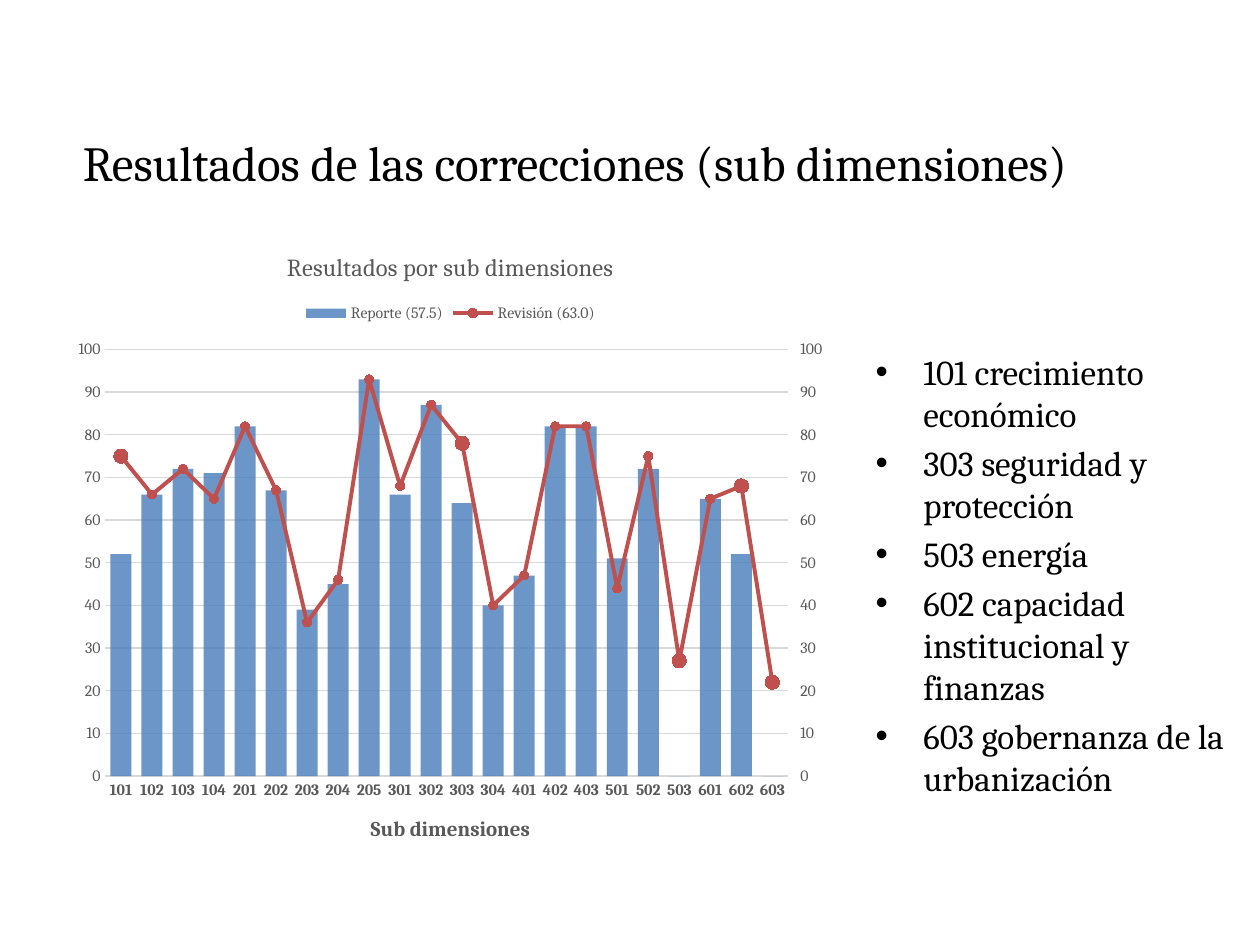
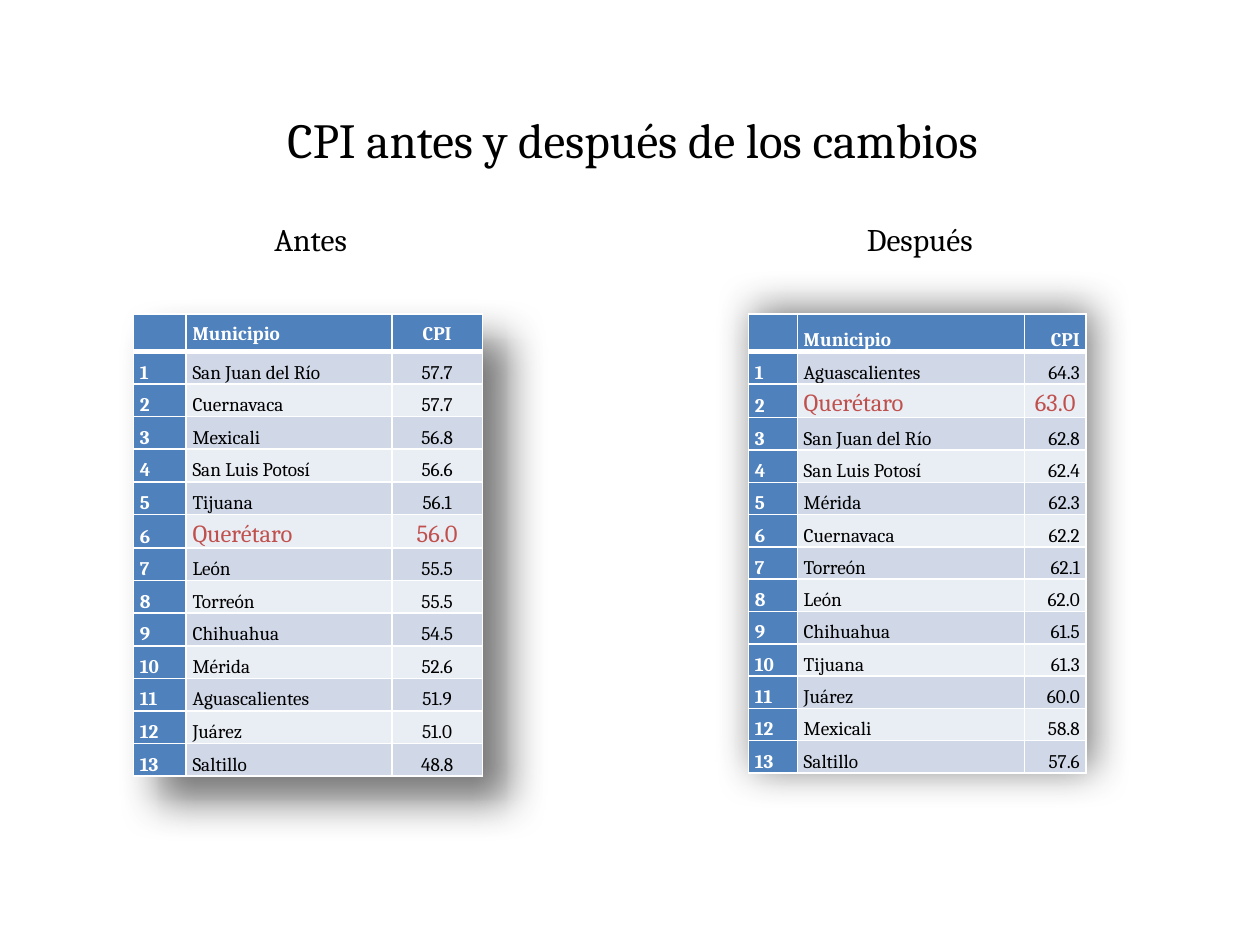
from lxml import etree
from pptx import Presentation
from pptx.chart.data import CategoryChartData
from pptx.dml.color import RGBColor
from pptx.enum.chart import XL_CHART_TYPE, XL_LEGEND_POSITION, XL_MARKER_STYLE, XL_TICK_MARK
from pptx.enum.text import MSO_ANCHOR, PP_ALIGN
from pptx.oxml import parse_xml
from pptx.oxml.ns import nsdecls, qn
from pptx.util import Inches, Pt

COLUMNS = XL_CHART_TYPE.COLUMN_CLUSTERED
LEGEND_TOP = XL_LEGEND_POSITION.TOP
CIRCLE = XL_MARKER_STYLE.CIRCLE
NO_TICK = XL_TICK_MARK.NONE
LEFT, CENTER, RIGHT = PP_ALIGN.LEFT, PP_ALIGN.CENTER, PP_ALIGN.RIGHT
TOP, MIDDLE, BOTTOM = MSO_ANCHOR.TOP, MSO_ANCHOR.MIDDLE, MSO_ANCHOR.BOTTOM

BLACK = RGBColor(0x00, 0x00, 0x00)
WHITE = RGBColor(0xFF, 0xFF, 0xFF)
BLUE = RGBColor(0x4F, 0x81, 0xBD)
RED = RGBColor(0xC0, 0x50, 0x4D)
GRAY = RGBColor(0x59, 0x59, 0x59)
GRID = RGBColor(0xD9, 0xD9, 0xD9)
BANDS = RGBColor(0xD0, 0xD8, 0xE8), RGBColor(0xE9, 0xED, 0xF4)

FONT = "Cambria"
WIDTH, HEIGHT = Inches(10), Inches(7.5)

SUB_DIMENSIONS = [
    "101", "102", "103", "104", "201", "202", "203", "204", "205", "301", "302",
    "303", "304", "401", "402", "403", "501", "502", "503", "601", "602", "603"]
REPORT = [52, 66, 72, 71, 82, 67, 39, 45, 93, 66, 87,
          64, 40, 47, 82, 82, 51, 72, 0, 65, 52, 0]
REVISION = [75, 66, 72, 65, 82, 67, 36, 46, 93, 68, 87,
            78, 40, 47, 82, 82, 44, 75, 27, 65, 68, 22]
CHANGES = ["101 crecimiento económico", "303 seguridad y protección", "503 energía",
           "602 capacidad institucional y finanzas", "603 gobernanza de la urbanización"]
CHANGED = ["101", "303", "503", "602", "603"]

HIGHLIGHT = "Querétaro"
BEFORE = [
    ("San Juan del Río", "57.7"), ("Cuernavaca", "57.7"), ("Mexicali", "56.8"),
    ("San Luis Potosí", "56.6"), ("Tijuana", "56.1"), ("Querétaro", "56.0"),
    ("León", "55.5"), ("Torreón", "55.5"), ("Chihuahua", "54.5"), ("Mérida", "52.6"),
    ("Aguascalientes", "51.9"), ("Juárez", "51.0"), ("Saltillo", "48.8")]
AFTER = [
    ("Aguascalientes", "64.3"), ("Querétaro", "63.0"), ("San Juan del Río", "62.8"),
    ("San Luis Potosí", "62.4"), ("Mérida", "62.3"), ("Cuernavaca", "62.2"),
    ("Torreón", "62.1"), ("León", "62.0"), ("Chihuahua", "61.5"), ("Tijuana", "61.3"),
    ("Juárez", "60.0"), ("Mexicali", "58.8"), ("Saltillo", "57.6")]

LINE_CHART = f"""<c:lineChart {nsdecls('c')}><c:grouping val="stacked"/><c:varyColors val="0"/>
  <c:marker val="1"/><c:axId val="501"/><c:axId val="502"/></c:lineChart>"""
HIDDEN_AXIS = f"""<c:catAx {nsdecls('c')}><c:axId val="501"/>
  <c:scaling><c:orientation val="minMax"/></c:scaling><c:delete val="1"/><c:axPos val="b"/>
  <c:crossAx val="502"/><c:crosses val="autoZero"/></c:catAx>"""
RIGHT_AXIS = f"""<c:valAx {nsdecls('c', 'a')}><c:axId val="502"/>
  <c:scaling><c:orientation val="minMax"/><c:max val="100"/><c:min val="0"/></c:scaling>
  <c:delete val="0"/><c:axPos val="r"/><c:numFmt formatCode="0" sourceLinked="0"/>
  <c:majorTickMark val="out"/><c:minorTickMark val="none"/><c:tickLblPos val="nextTo"/>
  <c:spPr><a:ln><a:noFill/></a:ln></c:spPr>
  <c:txPr><a:bodyPr/><a:p><a:pPr><a:defRPr sz="900" b="0">
    <a:solidFill><a:srgbClr val="{GRAY}"/></a:solidFill><a:latin typeface="{FONT}"/>
  </a:defRPr></a:pPr><a:endParaRPr/></a:p></c:txPr>
  <c:crossAx val="501"/><c:crosses val="max"/><c:majorUnit val="10"/></c:valAx>"""


def box(left, top, width, height):
    """Turn percentages of the slide into left, top, width and height."""
    return [int(size * share / 100) for size, share in
            zip((WIDTH, HEIGHT, WIDTH, HEIGHT), (left, top, width, height))]


def set_font(font, size, color=BLACK, bold=False):
    for name, value in dict(name=FONT, size=Pt(size), bold=bold).items():
        setattr(font, name, value)
    font.color.rgb = color


def write(p, text, size, color=BLACK, bold=False, align=LEFT):
    p.alignment = align
    r = p.add_run()
    r.text = text
    set_font(r.font, size, color, bold)


def add_text(s, area, lines, size, align=LEFT, anchor=TOP):
    tf = s.shapes.add_textbox(*area).text_frame
    tf.word_wrap = True
    tf.vertical_anchor = anchor
    for i, line in enumerate(lines):
        p = tf.add_paragraph() if i else tf.paragraphs[0]
        write(p, line, size, align=align)
    return tf


def add_title(s, area, text, align=LEFT):
    add_text(s, area, [text], 28, align, MIDDLE)


def add_bullets(s, area, lines):
    tf = add_text(s, area, lines, 20)
    for p in tf.paragraphs:
        p.space_before = Pt(4)
        pPr = p._p.get_or_add_pPr()
        pPr.set("marL", str(Inches(0.38)))
        pPr.set("indent", str(-Inches(0.38)))
        etree.SubElement(pPr, qn("a:buFont"), typeface="Arial")
        etree.SubElement(pPr, qn("a:buChar"), char="•")


def move_to_secondary_line(chart):
    """Draw the last column series as a line on a right-hand axis."""
    bars = chart._chartSpace.find(".//" + qn("c:barChart"))
    ser = bars.findall(qn("c:ser"))[-1]
    for invert in ser.findall(qn("c:invertIfNegative")):
        ser.remove(invert)
    line = parse_xml(LINE_CHART)
    line.insert(2, ser)
    bars.addnext(line)
    left_axis = bars.getparent().find(qn("c:valAx"))
    for axis in (RIGHT_AXIS, HIDDEN_AXIS):
        left_axis.addnext(parse_xml(axis))


def style_line(item, marker_size):
    """Style a line series or one of its points."""
    item.format.line.color.rgb = RED
    item.format.line.width = Pt(2.25)
    item.marker.style = CIRCLE
    item.marker.size = marker_size
    item.marker.format.fill.solid()
    item.marker.format.fill.fore_color.rgb = RED
    item.marker.format.line.color.rgb = RED


def style_axis(axis, bold=False):
    axis.major_tick_mark = axis.minor_tick_mark = NO_TICK
    axis.format.line.fill.background()
    set_font(axis.tick_labels.font, 9, GRAY, bold)


def add_results_chart(s, area):
    data = CategoryChartData(number_format="0")
    data.categories = SUB_DIMENSIONS
    data.add_series("Reporte (57.5)", REPORT)
    data.add_series("Revisión (63.0)", REVISION)
    chart = s.shapes.add_chart(COLUMNS, *area, data).chart
    set_font(chart.font, 10)
    write(chart.chart_title.text_frame.paragraphs[0],
          "Resultados por sub dimensiones", 14, GRAY, align=CENTER)
    chart.has_legend = True
    chart.legend.position = LEGEND_TOP
    chart.legend.include_in_layout = False
    set_font(chart.legend.font, 9, GRAY)

    style_axis(chart.category_axis, bold=True)
    write(chart.category_axis.axis_title.text_frame.paragraphs[0],
          "Sub dimensiones", 12, GRAY, True, CENTER)
    values = chart.value_axis
    style_axis(values)
    for name, value in dict(minimum_scale=0, maximum_scale=100, major_unit=10).items():
        setattr(values, name, value)
    values.tick_labels.number_format = "0"
    values.tick_labels.number_format_is_linked = False
    values.major_gridlines.format.line.color.rgb = GRID
    values.major_gridlines.format.line.width = Pt(0.75)

    move_to_secondary_line(chart)
    columns, lines = chart.plots
    columns.gap_width = 48
    columns.vary_by_categories = False
    fill = columns.series[0].format.fill
    fill.solid()
    fill.fore_color.rgb = BLUE
    clr = columns.series[0]._element.find(".//" + qn("a:srgbClr"))
    etree.SubElement(clr, qn("a:alpha"), val="83000")
    revision = lines.series[0]
    revision.smooth = False
    style_line(revision, 5)
    for code in CHANGED:
        style_line(revision.points[SUB_DIMENSIONS.index(code)], 8)


def add_borders(cell, bottom):
    tcPr = cell._tc.get_or_add_tcPr()
    for i, (side, width) in enumerate(dict(lnL=1, lnR=1, lnT=1, lnB=bottom).items()):
        tcPr.insert(i, parse_xml(
            f'<a:{side} {nsdecls("a")} w="{Pt(width)}"><a:solidFill>'
            f'<a:srgbClr val="{WHITE}"/></a:solidFill></a:{side}>'))


def fill_cell(cell, text, size, color, bold, align, anchor, fill, bottom=1):
    margins = dict(margin_left=0.05, margin_right=0.05, margin_top=0, margin_bottom=0)
    for name, value in margins.items():
        setattr(cell, name, Inches(value))
    cell.vertical_anchor = anchor
    cell.fill.solid()
    cell.fill.fore_color.rgb = fill
    p = cell.text_frame.paragraphs[0]
    p.line_spacing = 1.15
    write(p, text, size, color, bold, align)
    add_borders(cell, bottom)


def add_table_shadow(table, blur, distance, direction, alpha):
    """Blur and distance are in points, direction in degrees, alpha in percent."""
    table._tbl.tblPr.insert(0, parse_xml(
        f'<a:effectLst {nsdecls("a")}><a:outerShdw blurRad="{Pt(blur)}" dist="{Pt(distance)}" '
        f'dir="{direction * 60000}" algn="tl" rotWithShape="0"><a:srgbClr val="333333">'
        f'<a:alpha val="{alpha * 1000}"/></a:srgbClr></a:outerShdw></a:effectLst>'))


def add_ranking(s, area, rows, shares, header_share, cpi_align, header_anchor, shadow):
    """Column shares and the header's share of the height are percentages."""
    table = s.shapes.add_table(len(rows) + 1, 3, *area).table
    _, _, width, height = area
    for col, share in zip(table.columns, shares):
        col.width = int(width * share / 100)
    header_height = int(height * header_share / 100)
    for i, row in enumerate(table.rows):
        row.height = (height - header_height) // len(rows) if i else header_height

    aligns = LEFT, LEFT, cpi_align
    for j, text in enumerate(("", "Municipio", "CPI")):
        fill_cell(table.cell(0, j), text, 11, WHITE, True, aligns[j], header_anchor, BLUE, 3)
    for i, (city, cpi) in enumerate(rows, 1):
        marked = city == HIGHLIGHT
        size, color = (14, RED) if marked else (11, BLACK)
        band = BANDS[(i - 1) % 2]
        fill_cell(table.cell(i, 0), str(i), 11, WHITE, True, LEFT, BOTTOM, BLUE)
        fill_cell(table.cell(i, 1), city, size, color, False, LEFT, BOTTOM, band)
        fill_cell(table.cell(i, 2), cpi, size, color, False,
                  CENTER if marked else cpi_align, BOTTOM, band)
    add_table_shadow(table, *shadow)


def main():
    prs = Presentation()
    prs.slide_width, prs.slide_height = WIDTH, HEIGHT
    blank = prs.slide_layouts[6]

    s = prs.slides.add_slide(blank)
    add_title(s, box(5.6, 10.5, 90, 13.33), "Resultados de las correcciones (sub dimensiones)")
    add_bullets(s, box(68.5, 36.4, 31.5, 62.67), CHANGES)
    add_results_chart(s, box(5, 24, 61.5, 68))

    s = prs.slides.add_slide(blank)
    add_title(s, box(5.2, 8, 90, 13.33), "CPI antes y después de los cambios", CENTER)
    add_ranking(s, box(59.4, 33.2, 26.8, 47.87), AFTER, (14.5, 67.2, 18.3), 7.14,
                RIGHT, BOTTOM, (23, 4, 315, 65))
    add_ranking(s, box(10.6, 33.2, 27.7, 48), BEFORE, (15.1, 58.9, 26), 6.67,
                CENTER, MIDDLE, (23, 20, 45, 65))
    add_text(s, box(11.1, 22.67, 27.1, 5.33), ["Antes"], 18, CENTER)
    add_text(s, box(59.6, 22.67, 26.8, 5.33), ["Después"], 18, CENTER)
    prs.save("out.pptx")


if __name__ == "__main__":
    main()
